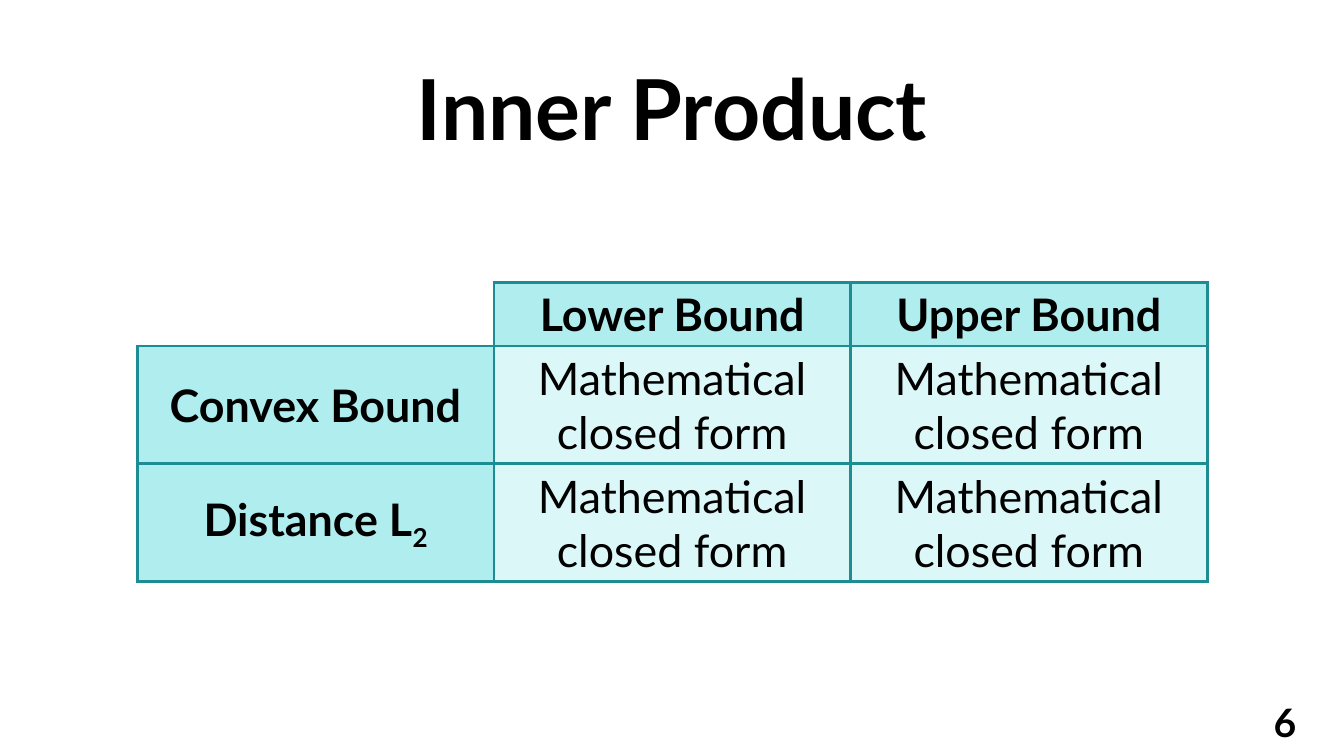
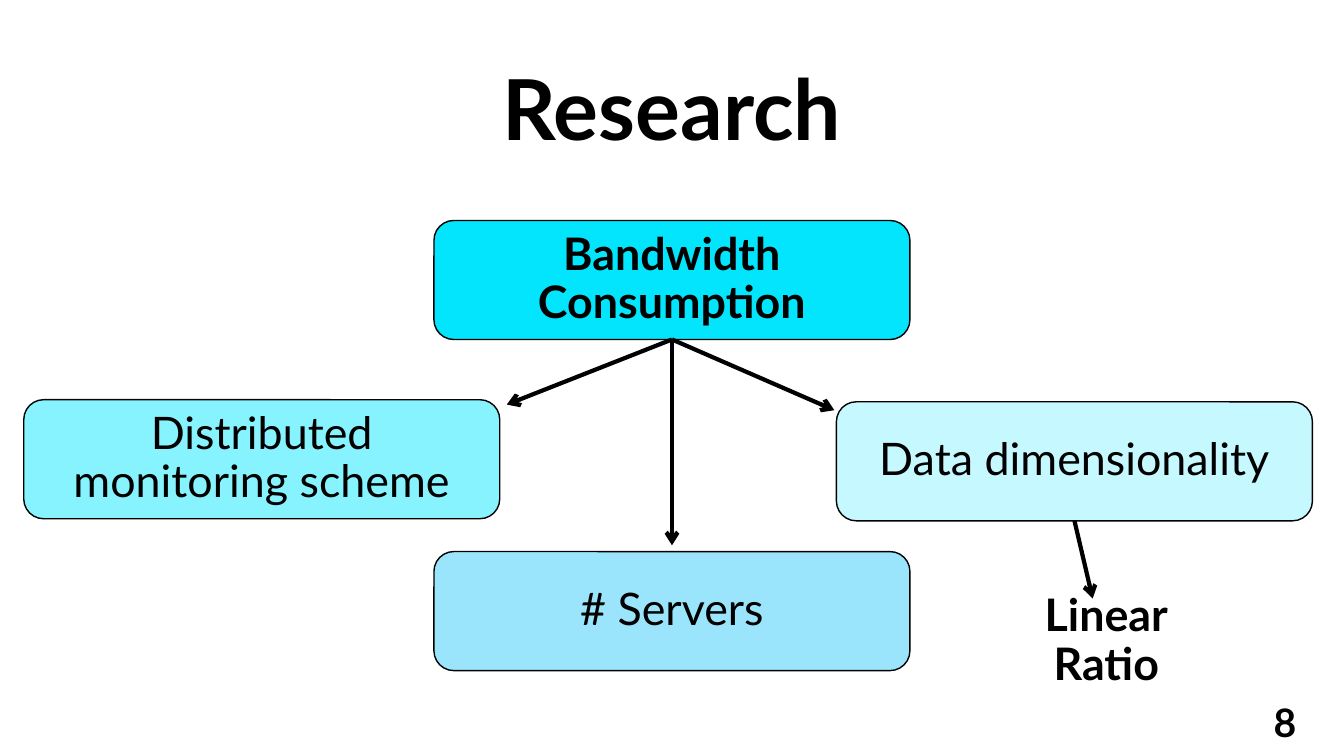
"""Build two slides: a table of inner product bounds and a research diagram."""
import pptx
import pptx.util
import pptx.dml.color
import pptx.enum.shapes
import pptx.enum.text
import pptx.oxml
import pptx.oxml.ns

Pt = pptx.util.Pt
RGBColor = pptx.dml.color.RGBColor
PP_ALIGN = pptx.enum.text.PP_ALIGN
MSO_ANCHOR = pptx.enum.text.MSO_ANCHOR
MSO_SHAPE = pptx.enum.shapes.MSO_SHAPE
MSO_CONNECTOR = pptx.enum.shapes.MSO_CONNECTOR

FONT = "Lato"
BODY_SIZE = 32
BLACK = RGBColor(0x00, 0x00, 0x00)
TEAL = RGBColor(0x1D, 0x8D, 0x93)
HEAD_FILL = RGBColor(0xAF, 0xED, 0xEF)
CELL_FILL = RGBColor(0xDC, 0xF7, 0xF8)
CYAN = RGBColor(0x03, 0xE5, 0xFD)
AQUA = RGBColor(0x86, 0xF3, 0xFE)
SKY = RGBColor(0x9A, 0xE5, 0xFC)
PALE = RGBColor(0xC5, 0xF9, 0xFF)

BOX_W, BOX_H = 340, 85
TABLE_LEFT, TABLE_TOP, COL_W = 98, 201.6, 254.8
ROW_HEIGHTS = (45.6, 84, 84)
CLOSED_FORM = "Mathematical closed form"
BOUNDS = (
    ("", "Lower Bound", "Upper Bound"),
    ("Convex Bound", CLOSED_FORM, CLOSED_FORM),
    ("Distance L", CLOSED_FORM, CLOSED_FORM),
)


def style_text(tf, size=BODY_SIZE, bold=False, spacing=None):
    for p in tf.paragraphs:
        p.alignment = PP_ALIGN.CENTER
        if spacing:
            p.line_spacing = spacing
        for r in p.runs:
            r.font.name = FONT
            r.font.size = Pt(size)
            r.font.bold = bold
            r.font.color.rgb = BLACK


def add_text(s, text, left, top, width, height, size=BODY_SIZE,
             spacing=None, anchor=MSO_ANCHOR.MIDDLE):
    sp = s.shapes.add_textbox(Pt(left), Pt(top), Pt(width), Pt(height))
    tf = sp.text_frame
    tf.word_wrap = True
    tf.vertical_anchor = anchor
    tf.text = text
    style_text(tf, size, True, spacing)


def add_slide(prs, title, number):
    s = prs.slides.add_slide(prs.slide_layouts[6])
    add_text(s, number, 875.5, 501, 84.5, 29, 28)
    add_text(s, title, 66, 28.8, 828, 104.4, 60, 0.9)
    return s


def set_borders(cell, hidden=()):
    tc_pr = cell._tc.get_or_add_tcPr()
    for i, side in enumerate(("lnL", "lnR", "lnT", "lnB")):
        paint = "<a:noFill/>"
        if side not in hidden:
            paint = f'<a:solidFill><a:srgbClr val="{TEAL}"/></a:solidFill>'
        tc_pr.insert(i, pptx.oxml.parse_xml(
            f'<a:{side} {pptx.oxml.ns.nsdecls("a")} w="{Pt(2.25)}">{paint}</a:{side}>'))


def add_bounds_table(s):
    frame = s.shapes.add_table(len(BOUNDS), len(BOUNDS[0]), Pt(TABLE_LEFT), Pt(TABLE_TOP),
                               Pt(COL_W * len(BOUNDS[0])), Pt(sum(ROW_HEIGHTS)))
    table = frame.table
    table.first_row = table.horz_banding = False
    for col in table.columns:
        col.width = Pt(COL_W)
    for i, texts in enumerate(BOUNDS):
        table.rows[i].height = Pt(ROW_HEIGHTS[i])
        for j, text in enumerate(texts):
            cell = table.cell(i, j)
            heading = i == 0 or j == 0
            cell.vertical_anchor = MSO_ANCHOR.MIDDLE
            cell.text_frame.text = text
            if text:
                cell.fill.solid()
                cell.fill.fore_color.rgb = HEAD_FILL if heading else CELL_FILL
            else:
                cell.fill.background()
            set_borders(cell, () if text else ("lnL", "lnT"))
            style_text(cell.text_frame, bold=heading)
    add_subscript(table.cell(2, 0).text_frame, "2")


def add_subscript(tf, text):
    r = tf.paragraphs[0].add_run()
    r.text = text
    style_text(tf, bold=True)
    r._r.get_or_add_rPr().set("baseline", "-25000")


def add_box(s, text, left, top, fill, bold=False):
    sp = s.shapes.add_shape(MSO_SHAPE.ROUNDED_RECTANGLE, Pt(left), Pt(top), Pt(BOX_W), Pt(BOX_H))
    sp.shadow.inherit = False
    sp.fill.solid()
    sp.fill.fore_color.rgb = fill
    sp.line.color.rgb = BLACK
    sp.line.width = Pt(1)
    tf = sp.text_frame
    tf.word_wrap = True
    tf.vertical_anchor = MSO_ANCHOR.MIDDLE
    tf.margin_left = tf.margin_right = tf.margin_top = tf.margin_bottom = Pt(14.4)
    tf.text = text
    style_text(tf, bold=bold, spacing=0.9)
    return sp


def add_arrow(s, box, x, y):
    line = s.shapes.add_connector(MSO_CONNECTOR.STRAIGHT, 0, 0, Pt(x), Pt(y))
    line.begin_connect(box, 2)
    line.line.color.rgb = BLACK
    line.line.width = Pt(3)
    ns = pptx.oxml.ns.nsdecls("a")
    line.line._get_or_add_ln().append(pptx.oxml.parse_xml(f'<a:tailEnd {ns} type="arrow"/>'))
    line._element.spPr.append(pptx.oxml.parse_xml(f"<a:effectLst {ns}/>"))


def add_research_diagram(s):
    bandwidth = add_box(s, "Bandwidth Consumption", 310, 157.5, CYAN, True)
    add_box(s, "Distributed monitoring scheme", 17, 285.5, AQUA)
    add_box(s, "# Servers", 310, 394, SKY)
    dimensionality = add_box(s, "Data dimensionality", 597.5, 287, PALE)
    for x, y in ((362, 289), (480, 389.5), (596, 293)):
        add_arrow(s, bandwidth, x, y)
    add_arrow(s, dimensionality, 780.5, 427.5)
    add_text(s, "Linear\vRatio", 698.5, 420, 183.5, 76, spacing=0.9, anchor=MSO_ANCHOR.TOP)


def main():
    prs = pptx.Presentation()
    prs.slide_width, prs.slide_height = Pt(960), Pt(540)
    add_bounds_table(add_slide(prs, "Inner Product", "6"))
    add_research_diagram(add_slide(prs, "Research", "8"))
    prs.save("out.pptx")


if __name__ == "__main__":
    main()
